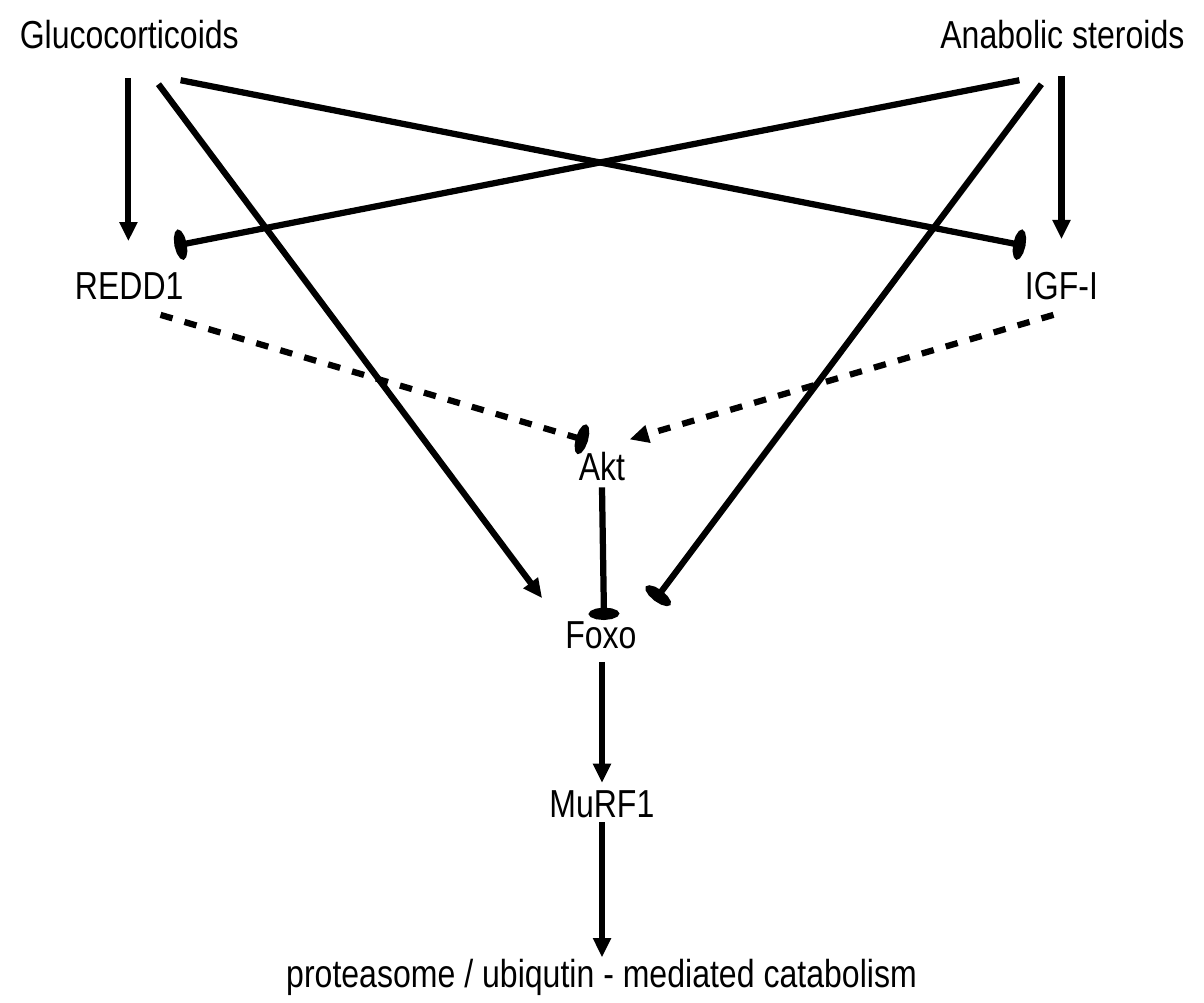
from lxml.etree import SubElement
from pptx import Presentation
from pptx.dml.color import RGBColor
from pptx.enum.shapes import MSO_CONNECTOR as Connector
from pptx.enum.text import MSO_AUTO_SIZE as AutoSize, PP_ALIGN as Align
from pptx.oxml.ns import qn
from pptx.util import Inches, Pt

BLACK = "000000"
LABELS = [
    ("Glucocorticoids", -0.01, 0, 1.31),
    ("Anabolic steroids", 4.57, 0, 1.45),
    ("REDD1", 0.26, 1.25, 0.77),
    ("IGF-I", 4.99, 1.25, 0.6),
    ("Akt", 2.77, 2.15, 0.46),
    ("Foxo", 2.7, 2.99, 0.59),
    ("MuRF1", 2.62, 3.83, 0.76),
    ("proteasome / ubiqutin - mediated catabolism", 1.3, 4.68, 3.4),
]
ACTIVATIONS = [
    (0.64, 0.39, 0.64, 1.2),
    (5.29, 0.38, 5.29, 1.19),
    (0.79, 0.42, 2.7, 2.98),
    (3, 3.3, 3, 3.9),
    (3, 4.1, 3, 4.77),
]
INHIBITIONS = [
    (0.9, 0.4, 5.08, 1.22),
    (5.08, 0.4, 0.9, 1.22),
    (5.19, 0.42, 3.28, 2.97),
    (3, 2.43, 3.01, 3.06),
]
INDIRECT_ACTIVATION = (5.25, 1.57, 3.14, 2.19)
INDIRECT_INHIBITION = (0.8, 1.57, 2.9, 2.19)


def color(value):
    return RGBColor.from_string(value)


def add_label(page, text, left, top, width):
    box = page.shapes.add_textbox(Inches(left), Inches(top), Inches(width), Inches(0.32))
    frame = box.text_frame
    frame.word_wrap = False
    frame.auto_size = AutoSize.SHAPE_TO_FIT_TEXT
    para = frame.paragraphs[0]
    para.text = text
    para.alignment = Align.CENTER
    para.font.name = "Arial Narrow"
    para.font.size = Pt(14)
    para.font.color.rgb = color(BLACK)


def add_link(page, ends, tip, dashed=False):
    link = page.shapes.add_connector(Connector.STRAIGHT, *map(Inches, ends))
    link.line.width = Pt(2.25)
    link.line.color.rgb = color(BLACK)
    properties = link._element.spPr
    outline = properties.find(qn("a:ln"))
    if dashed:
        pattern = SubElement(outline, qn("a:custDash"))
        SubElement(pattern, qn("a:ds"), d="200000", sp="200000")
    SubElement(outline, qn("a:tailEnd"), tip)
    SubElement(properties, qn("a:effectLst"))


def main():
    deck = Presentation()
    deck.slide_width, deck.slide_height = Inches(6), Inches(5)
    page = deck.slides.add_slide(deck.slide_layouts[6])
    arrow = {"type": "triangle", "w": "med", "len": "med"}
    stop = {"type": "oval", "w": "lg", "len": "sm"}
    for label in LABELS:
        add_label(page, *label)
    for ends in ACTIVATIONS:
        add_link(page, ends, arrow)
    for ends in INHIBITIONS:
        add_link(page, ends, stop)
    add_link(page, INDIRECT_ACTIVATION, arrow, dashed=True)
    add_link(page, INDIRECT_INHIBITION, stop, dashed=True)
    deck.save("out.pptx")


if __name__ == "__main__":
    main()
